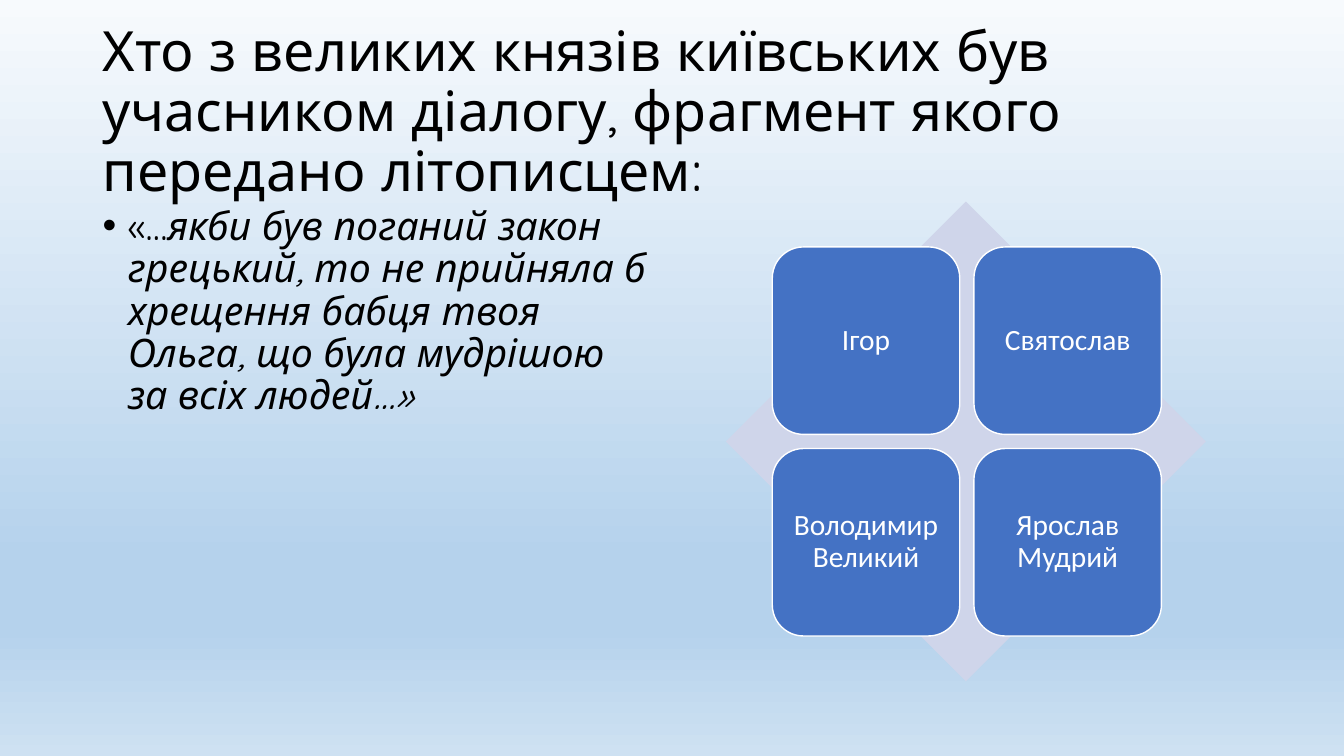
from lxml import etree
from pptx import Presentation
from pptx.dml.color import RGBColor
from pptx.enum.shapes import MSO_SHAPE
from pptx.enum.text import MSO_ANCHOR, PP_ALIGN
from pptx.oxml.ns import qn
from pptx.util import Inches, Pt

DIAMOND = MSO_SHAPE.DIAMOND
ROUNDED = MSO_SHAPE.ROUNDED_RECTANGLE
MIDDLE = MSO_ANCHOR.MIDDLE
CENTER = PP_ALIGN.CENTER

BLACK = RGBColor(0x00, 0x00, 0x00)
WHITE = RGBColor(0xFF, 0xFF, 0xFF)
BLUE = RGBColor(0x44, 0x72, 0xC4)
PALE = RGBColor(0xCF, 0xD5, 0xEA)
SKY = [(0, "F7FAFD"), (74, "B5D2EC"), (83, "B5D2EC"), (100, "CEE1F2")]

NAMES = [["Ігор", "Святослав"], ["Володимир Великий", "Ярослав Мудрий"]]
TILE, STEP = 1.86, 2.0


def style(para, face, size, color):
    para.line_spacing = 0.9
    para.font.name = face
    para.font.size = Pt(size)
    para.font.color.rgb = color


def add_shape(kind, left, top, size, color):
    shape = slide.shapes.add_shape(
        kind, Inches(left), Inches(top), Inches(size), Inches(size))
    shape.shadow.inherit = False
    shape.fill.solid()
    shape.fill.fore_color.rgb = color
    return shape


prs = Presentation()
prs.slide_width, prs.slide_height = Inches(13.33), Inches(7.5)
slide = prs.slides.add_slide(prs.slide_layouts[6])

# Background gradient, top to bottom
sky = slide.background.fill
sky.gradient()
sky.gradient_angle = 270
stops = slide.element.find(".//" + qn("a:gsLst"))
for stop in list(stops):
    stops.remove(stop)
for place, color in SKY:
    stop = etree.SubElement(stops, qn("a:gs"), pos=str(place * 1000))
    etree.SubElement(stop, qn("a:srgbClr"), val=color)

# Question
title = slide.shapes.add_textbox(
    Inches(0.92), Inches(0.4), Inches(11.5), Inches(1.45)).text_frame
title.word_wrap = True
title.vertical_anchor = MIDDLE
para = title.paragraphs[0]
para.text = ("Хто з великих князів київських був учасником діалогу, "
             "фрагмент якого передано літописцем:")
style(para, "Quicksand", 39.6, BLACK)

# Chronicle quote
quote = slide.shapes.add_textbox(
    Inches(0.92), Inches(2), Inches(5.67), Inches(4.76)).text_frame
quote.word_wrap = True
para = quote.paragraphs[0]
props = para._p.get_or_add_pPr()
props.set("marL", str(Inches(0.25)))
props.set("indent", str(-Inches(0.25)))
etree.SubElement(props, qn("a:buFont"), typeface="Arial")
etree.SubElement(props, qn("a:buChar"), char="•")
style(para, "Quicksand", 28, BLACK)
para.add_run().text = "«…"
speech = para.add_run()
speech.text = ("якби був поганий закон грецький, то не прийняла б хрещення "
               "бабця твоя Ольга, що була мудрішою за всіх людей…»")
speech.font.italic = True

# Answer tiles over the diamond
diamond = add_shape(DIAMOND, 7.2, 2, 4.76, PALE)
diamond.line.fill.background()
for row, names in enumerate(NAMES):
    for col, name in enumerate(names):
        tile = add_shape(ROUNDED, 7.66 + col * STEP, 2.45 + row * STEP, TILE, BLUE)
        tile.line.color.rgb = WHITE
        tile.line.width = Pt(1)
        frame = tile.text_frame
        frame.word_wrap = True
        frame.vertical_anchor = MIDDLE
        frame.margin_left = frame.margin_right = Inches(0.09)
        para = frame.paragraphs[0]
        para.text = name
        para.alignment = CENTER
        style(para, "Calibri", 21, WHITE)

prs.save("out.pptx")
